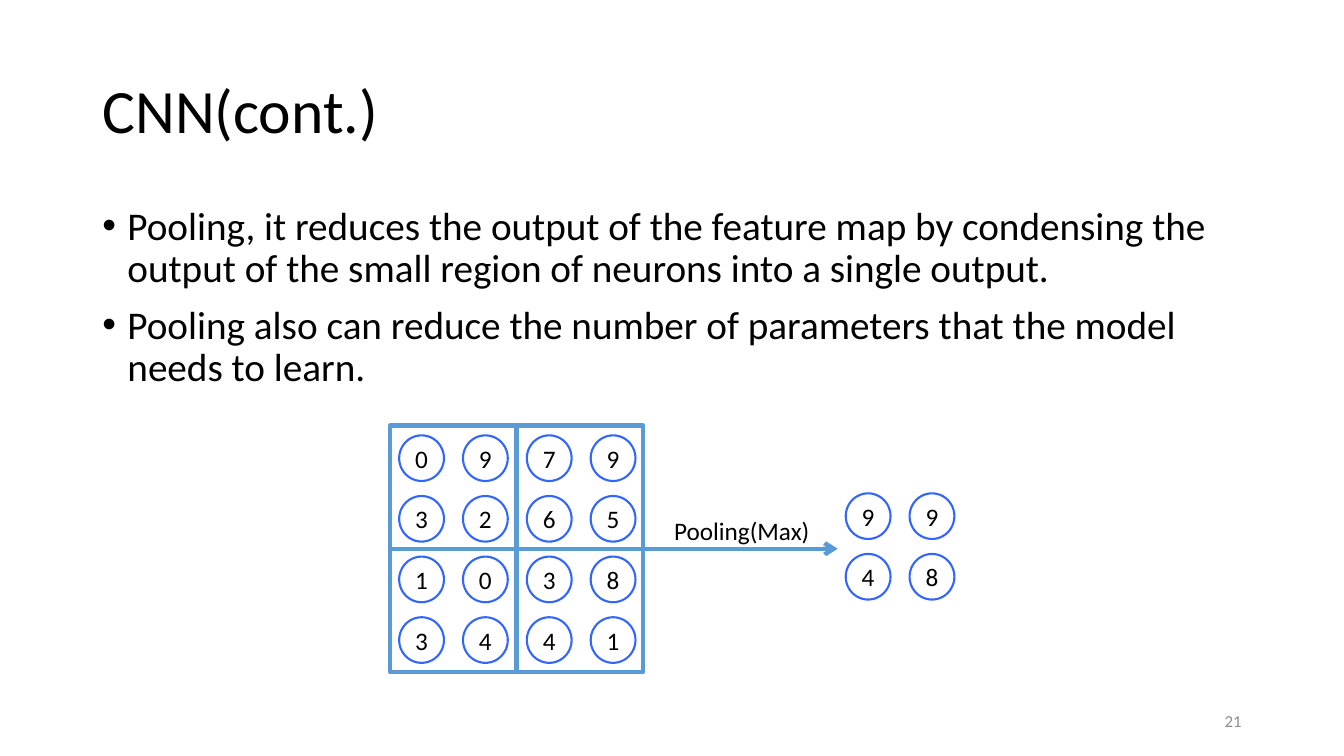
from pptx import Presentation
from pptx.dml.color import RGBColor
from pptx.enum import shapes, text
from pptx.oxml.ns import qn
from pptx.util import Pt
from lxml import etree

# Content
TITLE = "CNN(cont.)"
BULLETS = [
    "Pooling, it reduces the output of the feature map by condensing the "
    "output of the small region of neurons into a single output.",
    "Pooling also can reduce the number of parameters that the model needs to learn.",
]
FEATURE_MAP = [
    (0, 9, 7, 9),
    (3, 2, 6, 5),
    (1, 0, 3, 8),
    (3, 4, 4, 1),
]
POOLED = [
    (9, 9),
    (4, 8),
]
ARROW_LABEL = "Pooling(Max)"
PAGE = "21"

# Style and geometry, in points
COLORS = {"text": "000000", "page": "8C8C8C", "neuron": "3366FF", "frame": "5B9BD5"}
FONT = "Calibri"
NEURON_W, NEURON_H = 32, 32.6
PITCH_X, PITCH_Y = 45.6, 43.3
MAP_LEFT, MAP_TOP = 285.1, 311
POOLED_LEFT, POOLED_TOP = 604.1, 352.4
FRAME_LEFT, FRAME_TOP, FRAME_W, FRAME_H = 278.6, 304, 180.8, 176
ARROW_END = 598.4

prs = Presentation()
prs.slide_width, prs.slide_height = Pt(960), Pt(540)
slide = prs.slides.add_slide(prs.slide_layouts[5])


def rgb(name):
    return RGBColor.from_string(COLORS[name])


def format_text(tf, size, color="text", align=text.PP_ALIGN.LEFT,
                anchor=text.MSO_ANCHOR.MIDDLE):
    tf.vertical_anchor = anchor
    for p in tf.paragraphs:
        p.alignment = align
        for r in p.runs:
            r.font.name, r.font.size = FONT, Pt(size)
            r.font.color.rgb = rgb(color)


def add_text(left, top, width, height, content, wrap=True):
    tf = slide.shapes.add_textbox(Pt(left), Pt(top), Pt(width), Pt(height)).text_frame
    tf.word_wrap = wrap
    tf.text = content
    return tf


def add_outline(kind, left, top, width, height, color, weight):
    sp = slide.shapes.add_shape(kind, Pt(left), Pt(top), Pt(width), Pt(height))
    sp.shadow.inherit = False
    sp.fill.background()
    sp.line.color.rgb, sp.line.width = rgb(color), Pt(weight)
    return sp


def add_neurons(rows, left, top):
    for i, row in enumerate(rows):
        for j, value in enumerate(row):
            sp = add_outline(shapes.MSO_SHAPE.OVAL, left + j * PITCH_X, top + i * PITCH_Y,
                             NEURON_W, NEURON_H, "neuron", 1.5)
            tf = sp.text_frame
            tf.margin_left = tf.margin_right = tf.margin_top = tf.margin_bottom = 0
            tf.text = str(value)
            format_text(tf, 18, align=text.PP_ALIGN.CENTER)


def add_line(x1, y1, x2, y2):
    line = slide.shapes.add_connector(shapes.MSO_CONNECTOR.STRAIGHT,
                                      Pt(x1), Pt(y1), Pt(x2), Pt(y2))
    line.line.color.rgb, line.line.width = rgb("frame"), Pt(3)
    etree.SubElement(line._element.spPr, qn("a:effectLst"))
    return line


# Title
title = slide.shapes.title
title.left, title.top, title.width, title.height = Pt(66), Pt(28.8), Pt(828), Pt(104.4)
title.text_frame.text = TITLE
title.text_frame.auto_size = text.MSO_AUTO_SIZE.NONE
title.text_frame.paragraphs[0].line_spacing = 0.9
format_text(title.text_frame, 44)

# Bullets
tf = add_text(66, 144, 828, 150, "\n".join(BULLETS))
format_text(tf, 28, anchor=text.MSO_ANCHOR.TOP)
for p in tf.paragraphs:
    p.line_spacing, p.space_before = 0.9, Pt(10)
    pPr = p._p.get_or_add_pPr()
    pPr.set("marL", str(Pt(18)))
    pPr.set("indent", str(-Pt(18)))
    etree.SubElement(pPr, qn("a:buFont"), typeface="Arial")
    etree.SubElement(pPr, qn("a:buChar"), char="•")

# Neurons before and after pooling
add_neurons(FEATURE_MAP, MAP_LEFT, MAP_TOP)
add_neurons(POOLED, POOLED_LEFT, POOLED_TOP)

# Frame split into four regions
frame = add_outline(shapes.MSO_SHAPE.RECTANGLE, FRAME_LEFT, FRAME_TOP,
                    FRAME_W, FRAME_H, "frame", 3)
right, bottom = FRAME_LEFT + FRAME_W, FRAME_TOP + FRAME_H
mid_x, mid_y = FRAME_LEFT + FRAME_W / 2, FRAME_TOP + FRAME_H / 2
across = add_line(FRAME_LEFT, mid_y, right, mid_y)
across.begin_connect(frame, 1)
across.end_connect(frame, 3)
down = add_line(mid_x, bottom, mid_x, FRAME_TOP)
down.begin_connect(frame, 2)
down.end_connect(frame, 0)

# Pooling arrow and its label
arrow = add_line(right, mid_y, ARROW_END, mid_y)
arrow.begin_connect(frame, 3)
etree.SubElement(arrow.line._get_or_add_ln(), qn("a:tailEnd"), type="arrow")
format_text(add_text(474.5, 364.3, 113, 29, ARROW_LABEL, wrap=False), 18,
            anchor=text.MSO_ANCHOR.TOP)

# Page number
format_text(add_text(678, 500.4, 216, 28.8, PAGE), 12, "page", text.PP_ALIGN.RIGHT)

prs.save("out.pptx")
